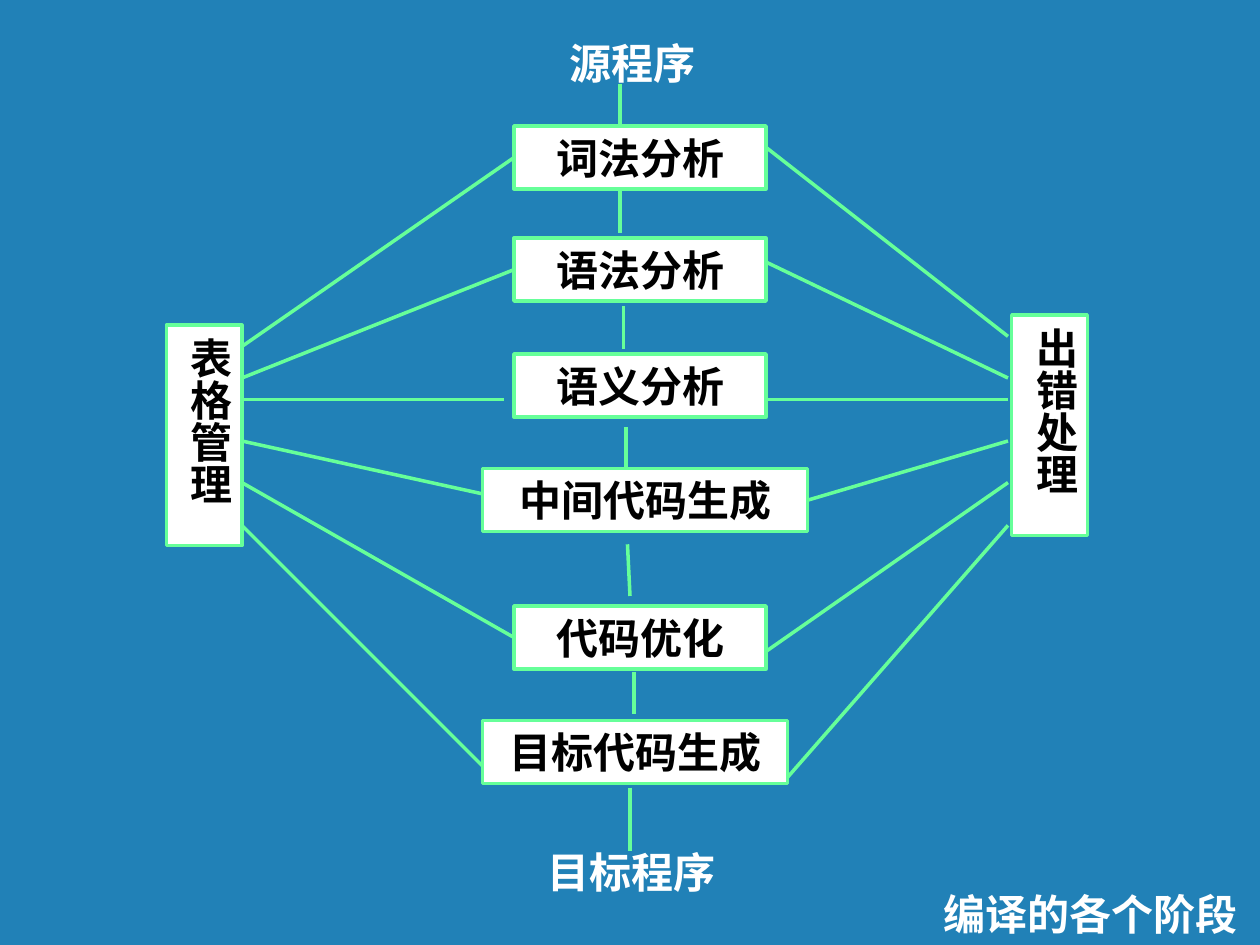
from lxml import etree
from pptx import Presentation
from pptx.dml.color import RGBColor
from pptx.enum import shapes, text
from pptx.oxml.ns import qn
from pptx.util import Inches, Pt

BLUE = RGBColor(0x21, 0x81, 0xB7)
GREEN = RGBColor(0x66, 0xFF, 0x99)
WHITE = RGBColor(0xFF, 0xFF, 0xFF)
BLACK = RGBColor(0, 0, 0)
FONT = {"name": "Times New Roman", "size": Pt(24), "bold": True}
NEAR = Inches(0.04)  # how close to a side's middle a line end is joined

# Phase: name, left, top, width
PHASES = [
    ("词法分析", 4.08, 1, 2),
    ("语法分析", 4.08, 1.89, 2),
    ("语义分析", 4.08, 2.81, 2),
    ("中间代码生成", 3.83, 3.72, 2.58),
    ("代码优化", 4.08, 4.81, 2),
    ("目标代码生成", 3.83, 5.72, 2.42),
]
# Flow line: x1, y1, x2, y2
FLOW = [
    (4.92, 0.67, 4.92, 1),
    (4.92, 1.52, 4.92, 1.85),
    (4.95, 2.43, 4.95, 2.77),
    (4.97, 3.39, 4.97, 3.72),
    (4.98, 4.32, 5, 4.73),
    (5.03, 5.33, 5.03, 5.67),
    (5, 6.25, 5, 6.75),
]
# Fan line ends: y at the side box, x and y at the phase
LEFT = [(2.75, 4.08, 1.25), (3, 4.08, 2.17), (3.17, 4, 3.17),
        (3.5, 3.83, 3.92), (3.83, 4.08, 5.08), (4.17, 3.83, 6.08)]
RIGHT = [(2.67, 6.08, 1.17), (3, 6.08, 2.08), (3.17, 6.08, 3.17),
         (3.5, 6.42, 4), (3.83, 6.08, 5.17), (4.17, 6.25, 6.17)]


def write(shape, words, color, align, anchor=text.MSO_ANCHOR.MIDDLE):
    frame = shape.text_frame
    frame.word_wrap = True
    frame.auto_size = text.MSO_AUTO_SIZE.NONE
    frame.vertical_anchor = anchor
    para = frame.paragraphs[0]
    para.text = words
    para.alignment = align
    para.space_before = Pt(0)
    for key, value in FONT.items():
        setattr(para.font, key, value)
    para.font.color.rgb = color


def add_label(slide, words, *area):
    label = slide.shapes.add_textbox(*map(Inches, area))
    write(label, words, WHITE, text.PP_ALIGN.LEFT)


def add_box(slide, words, *area):
    box = slide.shapes.add_shape(shapes.MSO_SHAPE.RECTANGLE, *map(Inches, area))
    box.shadow.inherit = False
    box.fill.solid()
    box.fill.fore_color.rgb = WHITE
    box.line.color.rgb = GREEN
    box.line.width = Pt(2)
    write(box, words, BLACK, text.PP_ALIGN.CENTER)
    return box


def add_side(slide, words, *area):
    frame = add_box(slide, words, *area).text_frame
    insets = {"left": 0.05, "top": 0.1, "right": 0.05, "bottom": 0.1}
    for side, inset in insets.items():
        setattr(frame, "margin_" + side, Inches(inset))
    frame.vertical_anchor = text.MSO_ANCHOR.TOP
    frame._txBody.bodyPr.set("vert", "eaVert")


def add_line(slide, *ends):
    line = slide.shapes.add_connector(
        shapes.MSO_CONNECTOR.STRAIGHT, *map(Inches, ends))
    line.line.color.rgb = GREEN
    line.line.width = Pt(2)
    etree.SubElement(line._element.spPr, qn("a:effectLst"))
    return line


def add_fan(slide, edge, fan, boxes, site):
    for (start, x, y), box in zip(fan, boxes):
        line = add_line(slide, edge, start, x, y)
        side = box.left if site == 1 else box.left + box.width
        middle = box.top + box.height // 2
        if abs(line.end_x - side) < NEAR and abs(line.end_y - middle) < NEAR:
            line.end_connect(box, site)


def add_title(slide, words, *area):
    title = slide.shapes.title
    for key, value in zip(("left", "top", "width", "height"), area):
        setattr(title, key, Inches(value))
    write(title, words, WHITE, text.PP_ALIGN.RIGHT, text.MSO_ANCHOR.BOTTOM)


def main():
    deck = Presentation()
    deck.slide_width, deck.slide_height = Inches(10), Inches(7.5)
    slide = deck.slides.add_slide(deck.slide_layouts[5])
    slide.background.fill.solid()
    slide.background.fill.fore_color.rgb = BLUE

    # Input, phases and output
    add_label(slide, "源程序", 4.42, 0.25, 1.25, 0.5)
    boxes = [add_box(slide, *phase, 0.5) for phase in PHASES]
    add_label(slide, "目标程序", 4.25, 6.67, 1.75, 0.5)

    # Services at both sides
    add_side(slide, "表格管理", 1.32, 2.58, 0.6, 1.75)
    add_side(slide, "出错处理", 8.03, 2.5, 0.6, 1.75)

    # Lines
    for ends in FLOW:
        add_line(slide, *ends)
    add_fan(slide, 1.92, LEFT, boxes, 1)
    add_fan(slide, 8, RIGHT, boxes, 3)

    add_title(slide, "编译的各个阶段", 0.25, 7, 9.67, 0.5)
    deck.save("out.pptx")


if __name__ == "__main__":
    main()
